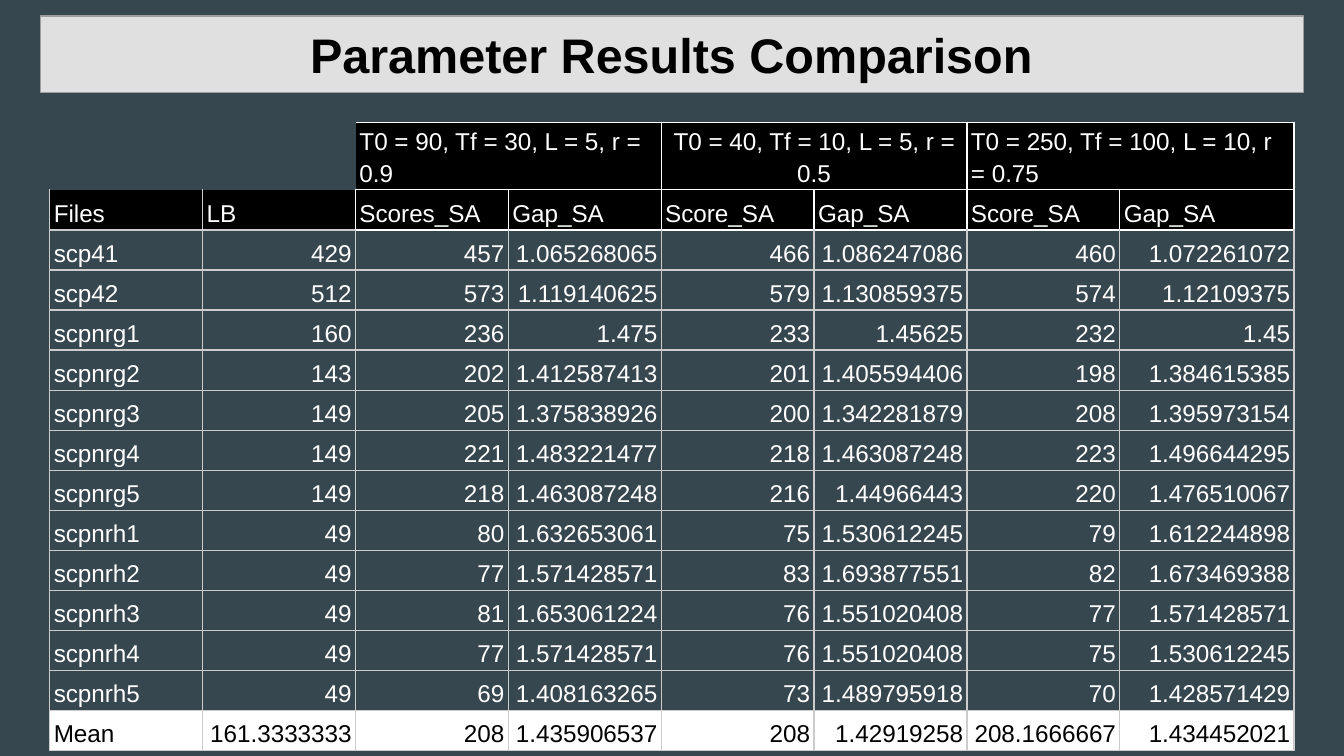
from dataclasses import dataclass

from lxml import etree
from pptx import Presentation
from pptx.dml.color import RGBColor
from pptx.enum.text import MSO_ANCHOR, MSO_AUTO_SIZE, PP_ALIGN
from pptx.oxml.ns import qn
from pptx.util import Inches, Pt

MIDDLE, BOTTOM = MSO_ANCHOR.MIDDLE, MSO_ANCHOR.BOTTOM
LEFT, CENTER, RIGHT = PP_ALIGN.LEFT, PP_ALIGN.CENTER, PP_ALIGN.RIGHT
NO_AUTOFIT = MSO_AUTO_SIZE.NONE
TITLE_ONLY = 5


@dataclass(frozen=True)
class Theme:
    font: str = "Arial"
    title_size: int = 26
    table_size: int = 13
    line_width: float = 0.75
    spacing: float = 1.15
    background: str = "37474F"
    banner: str = "E0E0E0"
    banner_line: str = "9E9E9E"
    grid: str = "CCCCCC"
    dark: str = "000000"
    light: str = "FFFFFF"


THEME = Theme()
SLIDE_W = 10
SLIDE_H = SLIDE_W * 9 / 16
TITLE_BOX = (0.3, 0.12, 9.4, 0.57)
TABLE_BOX = (0.37, 0.91, 9.26, 4.54)
LAST_COL_SHARE = 0.14
HEADER_ROW_SHARE = 0.08

SETTINGS = [
    ("T0 = 90, Tf = 30, L = 5, r = 0.9", LEFT),
    ("T0 = 40, Tf = 10, L = 5, r = 0.5", CENTER),
    ("T0 = 250, Tf = 100, L = 10, r = 0.75", LEFT),
]
COLUMNS = ["Files", "LB", "Scores_SA", "Gap_SA", "Score_SA", "Gap_SA", "Score_SA", "Gap_SA"]
RESULTS = """\
scp41 429 457 1.065268065 466 1.086247086 460 1.072261072
scp42 512 573 1.119140625 579 1.130859375 574 1.12109375
scpnrg1 160 236 1.475 233 1.45625 232 1.45
scpnrg2 143 202 1.412587413 201 1.405594406 198 1.384615385
scpnrg3 149 205 1.375838926 200 1.342281879 208 1.395973154
scpnrg4 149 221 1.483221477 218 1.463087248 223 1.496644295
scpnrg5 149 218 1.463087248 216 1.44966443 220 1.476510067
scpnrh1 49 80 1.632653061 75 1.530612245 79 1.612244898
scpnrh2 49 77 1.571428571 83 1.693877551 82 1.673469388
scpnrh3 49 81 1.653061224 76 1.551020408 77 1.571428571
scpnrh4 49 77 1.571428571 76 1.551020408 75 1.530612245
scpnrh5 49 69 1.408163265 73 1.489795918 70 1.428571429
Mean 161.3333333 208 1.435906537 208 1.42919258 208.1666667 1.434452021"""


def rgb(color):
    return RGBColor.from_string(color)


def set_margins(target, x, y):
    target.margin_left = target.margin_right = Inches(x)
    target.margin_top = target.margin_bottom = Inches(y)


def set_font(p, size, color, bold=False):
    p.font.name, p.font.size, p.font.bold = THEME.font, Pt(size), bold
    p.font.color.rgb = rgb(color)


def add_title(s, box, text):
    sp = s.shapes.title
    sp.left, sp.top, sp.width, sp.height = map(Inches, box)
    sp.fill.solid()
    sp.fill.fore_color.rgb = rgb(THEME.banner)
    sp.line.color.rgb = rgb(THEME.banner_line)
    sp.line.width = Pt(THEME.line_width)
    tf = sp.text_frame
    tf.text = text
    tf.word_wrap, tf.auto_size, tf.vertical_anchor = True, NO_AUTOFIT, MIDDLE
    set_margins(tf, 0.1, 0.1)
    p = tf.paragraphs[0]
    p.alignment = CENTER
    set_font(p, THEME.title_size, THEME.dark, bold=True)


def edge_colors(row, col):
    """Border colours of a cell by side: L, R, T, B."""
    in_settings = col >= 2
    if row < 2 and in_settings:
        base = THEME.light
    else:
        base = THEME.background if row == 0 else THEME.grid
    edges = dict.fromkeys("LRTB", base)
    if (row, col) == (0, 2):
        edges["L"] = THEME.background
    if row == 1 and not in_settings:
        edges["T"] = THEME.background
    if (row, col) == (1, 1):
        edges["R"] = THEME.light
    if row == 2 and in_settings:
        edges["T"] = THEME.light
    return edges


def set_borders(cell, edges):
    tcPr = cell._tc.get_or_add_tcPr()
    for side, color in edges.items():
        ln = etree.SubElement(tcPr, qn(f"a:ln{side}"), w=str(Pt(THEME.line_width)))
        fill = etree.SubElement(ln, qn("a:solidFill"))
        etree.SubElement(fill, qn("a:srgbClr"), val=color)


def format_cell(cell, text, align, fill, color, edges):
    set_borders(cell, edges)
    if fill:
        cell.fill.solid()
        cell.fill.fore_color.rgb = rgb(fill)
    else:
        cell.fill.background()
    cell.text = text
    cell.vertical_anchor = BOTTOM
    set_margins(cell, 0.03, 0.02)
    p = cell.text_frame.paragraphs[0]
    p.alignment, p.line_spacing = align, THEME.spacing
    set_font(p, THEME.table_size, color)


def add_results_table(s, box, settings, columns, results):
    width, height = box[2:]
    setting_row = [("", LEFT)] * 2
    for setting in settings:
        setting_row += [setting, ("", LEFT)]
    rows = [setting_row, [(name, LEFT) for name in columns]]
    for line in results.splitlines():
        name, *values = line.split()
        rows.append([(name, LEFT)] + [(value, RIGHT) for value in values])

    n_rows, n_cols = len(rows), len(columns)
    table = s.shapes.add_table(n_rows, n_cols, *map(Inches, box)).table
    table.first_row = table.horz_banding = False
    for col in table.columns:
        col.width = Inches(width * (1 - LAST_COL_SHARE) / (n_cols - 1))
    table.columns[n_cols - 1].width = Inches(width * LAST_COL_SHARE)
    for row in table.rows:
        row.height = Inches(height * (1 - HEADER_ROW_SHARE) / (n_rows - 1))
    table.rows[0].height = Inches(height * HEADER_ROW_SHARE)

    for i, row in enumerate(rows):
        for j, (text, align) in enumerate(row):
            fill, color = None, THEME.light
            if i == 1 or (i == 0 and j >= 2):
                fill = THEME.dark
            elif i == n_rows - 1:
                fill, color = THEME.light, THEME.dark
            format_cell(table.cell(i, j), text, align, fill, color, edge_colors(i, j))
    for j in range(2, n_cols, 2):
        table.cell(0, j).merge(table.cell(0, j + 1))


def main():
    prs = Presentation()
    prs.slide_width, prs.slide_height = Inches(SLIDE_W), Inches(SLIDE_H)
    s = prs.slides.add_slide(prs.slide_layouts[TITLE_ONLY])
    s.background.fill.solid()
    s.background.fill.fore_color.rgb = rgb(THEME.background)
    add_title(s, TITLE_BOX, "Parameter Results Comparison")
    add_results_table(s, TABLE_BOX, SETTINGS, COLUMNS, RESULTS)
    prs.save("out.pptx")


if __name__ == "__main__":
    main()
